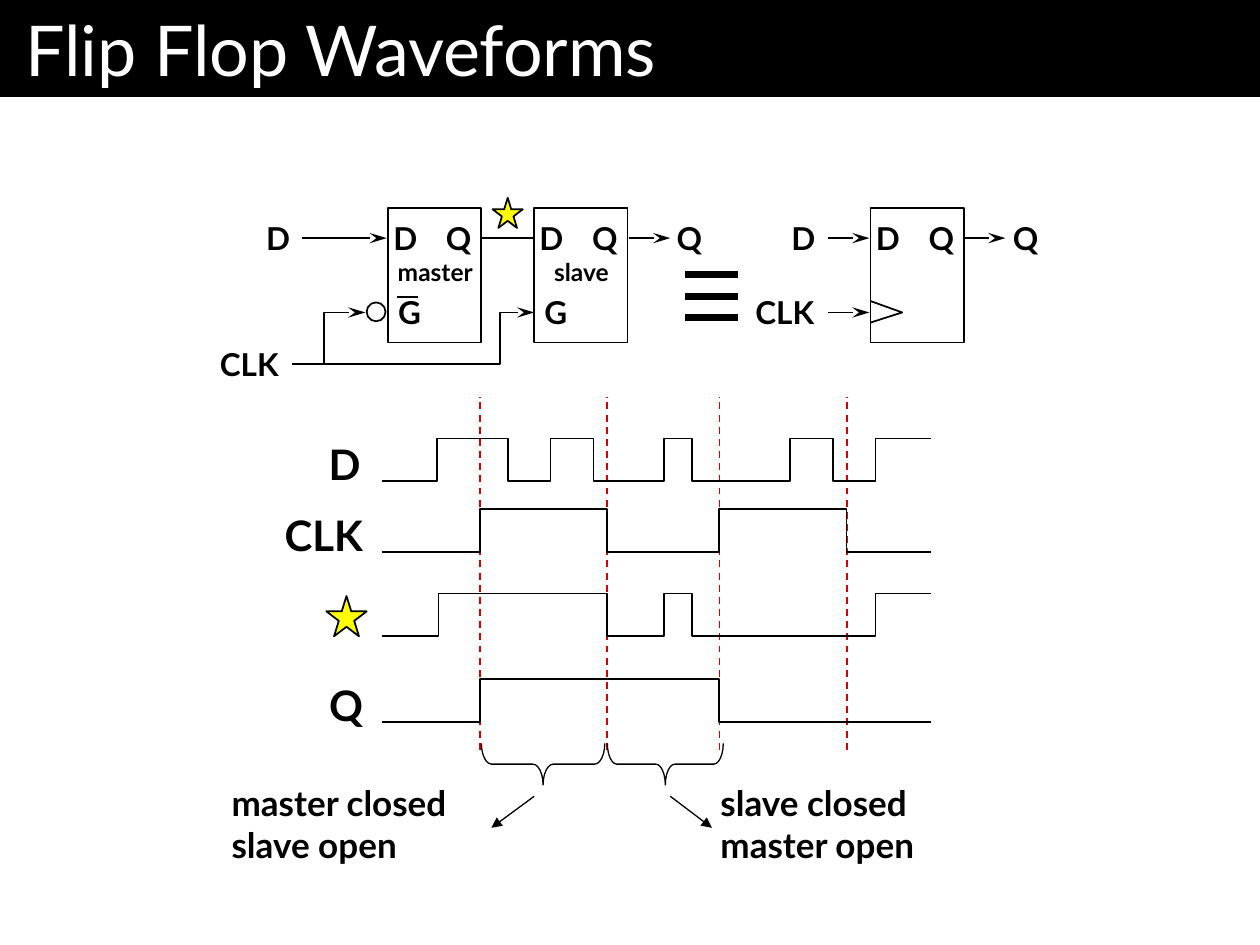
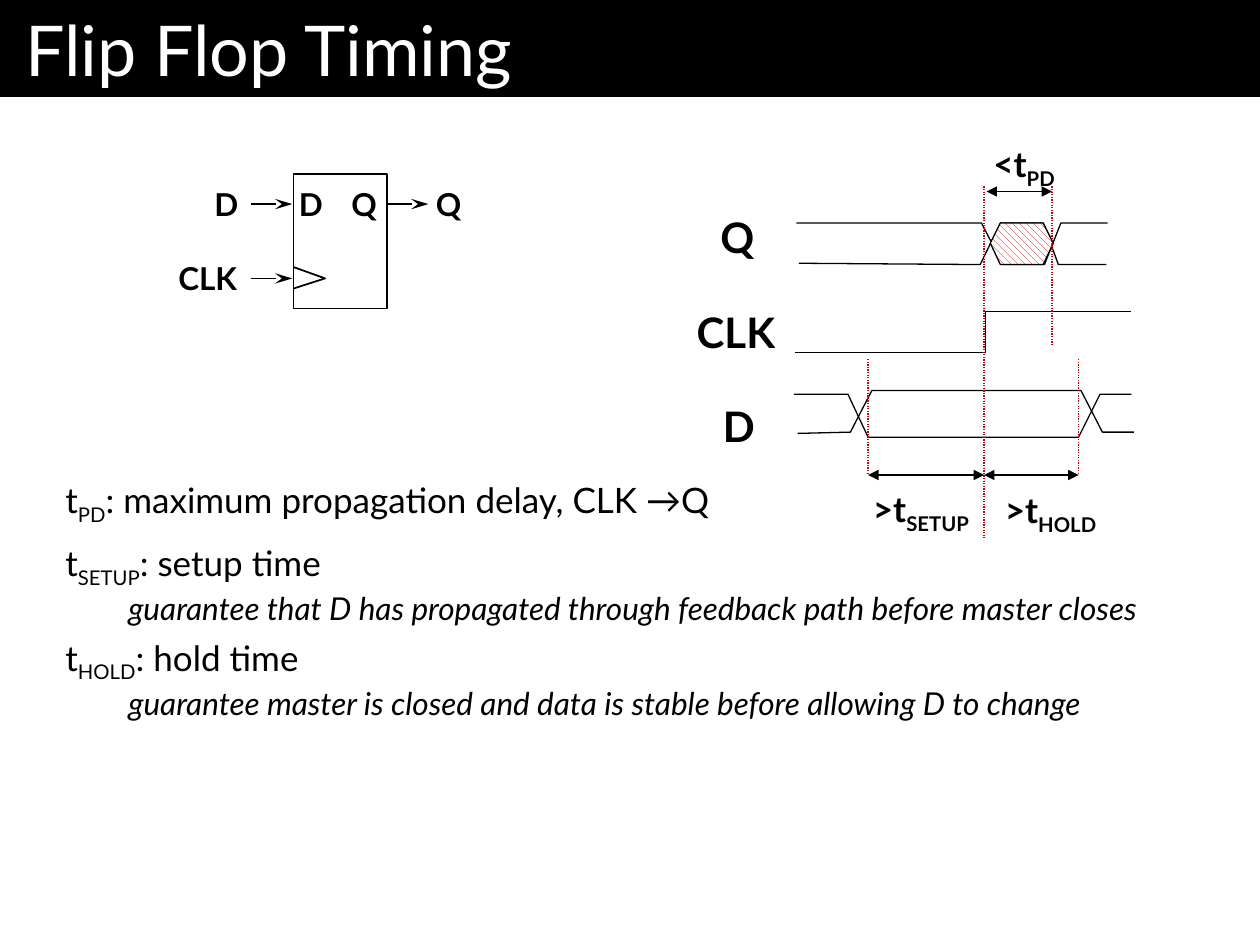
"""Build two slides on flip flop waveforms and timing."""
import pptx
import pptx.dml.color
import pptx.enum.dml
import pptx.enum.shapes
import pptx.enum.text
import pptx.oxml.ns
import pptx.oxml.xmlchemy
import pptx.util
from lxml import etree
from pptx.util import Inches

FONT = "Lato"
BLACK, WHITE, RED, YELLOW = "000000", "FFFFFF", "CC0000", "FFFF00"
SHAPE = pptx.enum.shapes.MSO_SHAPE
DASH = pptx.enum.dml.MSO_LINE
ALIGN = pptx.enum.text.PP_ALIGN
qn = pptx.oxml.ns.qn


def colour(value):
    """Turn a hex string into a colour."""
    return pptx.dml.color.RGBColor.from_string(value)


class Sheet:
    """Hold the style, the deck and the current page."""

    def __init__(self):
        """Start a deck of 10 by 7.5 inches."""
        self.deck = pptx.Presentation()
        self.deck.slide_width = Inches(10)
        self.deck.slide_height = Inches(7.5)
        self.page = None

    def new_page(self, title):
        """Add a page with the black title band."""
        self.page = self.deck.slides.add_slide(self.deck.slide_layouts[6])
        band = self.shape(SHAPE.RECTANGLE, 0, 0, 10, 0.77, BLACK, None)
        frame = band.text_frame
        frame.text = title
        frame.margin_left = frame.margin_right = Inches(0.2)
        frame.vertical_anchor = pptx.enum.text.MSO_ANCHOR.MIDDLE
        frame.paragraphs[0].alignment = ALIGN.LEFT
        self.style(frame.paragraphs[0].runs[0], 40, WHITE)

    def style(self, span, size, ink=BLACK, bold=False, italic=False):
        """Format one run."""
        span.font.name = FONT
        span.font.size = pptx.util.Pt(size)
        span.font.color.rgb = colour(ink)
        span.font.bold = bold
        span.font.italic = italic

    def stroke(self, item, ink=BLACK, width=1, dash=None, head=None, tail=None):
        """Set the line of a shape or connector, with arrowheads."""
        item.line.color.rgb = colour(ink)
        item.line.width = pptx.util.Pt(width)
        if dash:
            item.line.dash_style = dash
        outline = item._element.spPr.find(qn("a:ln"))
        for end, kind in (("a:headEnd", head), ("a:tailEnd", tail)):
            if kind:
                length = "lg" if kind == "stealth" else "med"
                etree.SubElement(outline, qn(end), type=kind, w="med", len=length)

    def shape(self, kind, left, top, width, height, fill=None, ink=BLACK, weight=1):
        """Add a preset shape."""
        item = self.page.shapes.add_shape(
            kind, Inches(left), Inches(top), Inches(width), Inches(height))
        item.shadow.inherit = False
        if fill:
            item.fill.solid()
            item.fill.fore_color.rgb = colour(fill)
        else:
            item.fill.background()
        if ink:
            self.stroke(item, ink, weight)
        else:
            item.line.fill.background()
        return item

    def line(self, x1, y1, x2, y2, **look):
        """Add a straight line or arrow."""
        item = self.page.shapes.add_connector(
            pptx.enum.shapes.MSO_CONNECTOR.STRAIGHT,
            Inches(x1), Inches(y1), Inches(x2), Inches(y2))
        self.stroke(item, **look)
        etree.SubElement(item._element.spPr, qn("a:effectLst"))

    def outline(self, points, close=False, **look):
        """Add a freeform through the points, unfilled."""
        points = [(Inches(x), Inches(y)) for x, y in points]
        builder = self.page.shapes.build_freeform(*points[0], scale=1)
        builder.add_line_segments(points[1:], close=close)
        item = builder.convert_to_shape()
        item.shadow.inherit = False
        item.fill.background()
        self.stroke(item, **look)
        return item

    def wave(self, start, end, low, edges, rise=0.34, **look):
        """Add a square wave that starts low and toggles at each edge."""
        levels = (low, low - rise)
        points = [(start, low)]
        for count, x in enumerate(edges):
            points += [(x, levels[count % 2]), (x, levels[(count + 1) % 2])]
        self.outline(points + [(end, levels[len(edges) % 2])], **look)

    def text(self, left, top, width, height, lines, size, bold=False,
             align=ALIGN.LEFT, spacing=None, wrap=False):
        """Add a text box; pieces between bars are subscripts.

        Lines after the first are italic and indented when the box wraps.
        """
        box = self.page.shapes.add_textbox(
            Inches(left), Inches(top), Inches(width), Inches(height))
        frame = box.text_frame
        frame.word_wrap = wrap
        frame.auto_size = pptx.enum.text.MSO_AUTO_SIZE.SHAPE_TO_FIT_TEXT
        for row, line in enumerate(lines):
            para = frame.add_paragraph() if row else frame.paragraphs[0]
            para.alignment = align
            if spacing:
                para.line_spacing = spacing
            detail = wrap and row > 0
            if detail:
                para._p.get_or_add_pPr().set("marL", str(Inches(0.5)))
            for count, piece in enumerate(line.split("|")):
                span = para.add_run()
                span.text = piece
                self.style(span, size - 2 if detail else size, bold=bold, italic=detail)
                if count % 2:
                    span._r.get_or_add_rPr().set("baseline", "-25000")

    def pin(self, left, top, name, size=18):
        """Add a short bold signal name."""
        width = {"CLK": 0.69, "Q": 0.4}.get(name, 0.39) + (0.07 if size == 24 else 0)
        if name == "CLK" and size == 24:
            width = 0.86
        height = 0.47 if size == 24 else 0.38
        self.text(left, top, width, height, [name], size, True, ALIGN.RIGHT, 0.9)

    def cell(self, left, top, gate=None):
        """Add a storage box with its D, Q and optional gate pins."""
        self.shape(SHAPE.RECTANGLE, left, top, 0.74, 1.07, WHITE)
        self.pin(left - 0.06, top + 0.07, "D")
        self.pin(left + 0.36, top + 0.07, "Q")
        if gate:
            self.pin(left - 0.03, top + 0.66, gate)

    def flip_flop(self, left, top):
        """Add the clocked symbol with its arrows and outer names."""
        self.cell(left, top)
        for x, y in ((0.74, 0.24), (-0.34, 0.24), (-0.34, 0.83)):
            self.line(left + x, top + y, left + x + 0.33, top + y, tail="stealth")
        self.outline([(left, top + 0.74), (left + 0.25, top + 0.83), (left, top + 0.91)])
        self.pin(left - 0.73, top + 0.07, "D")
        self.pin(left - 1.04, top + 0.66, "CLK")
        self.pin(left + 1.03, top + 0.07, "Q")

    def star(self, left, top, size):
        """Add the yellow star that marks the inner signal."""
        self.shape(SHAPE.STAR_5_POINT, left, top, size, size, YELLOW)

    def brace(self, left, right, top, bend):
        """Add a brace that opens upward between two x positions."""
        depth, span = 0.33, right - left
        item = self.shape(SHAPE.RIGHT_BRACE, (left + right - depth) / 2,
                          top + (depth - span) / 2, depth, span, weight=0.75)
        item.rotation = 90
        item.adjustments[0] = bend


def waveforms(sheet):
    """Draw the master and slave circuit with its waveforms."""
    sheet.new_page("Flip Flop Waveforms")
    top, wire = 1.65, 1.89
    sheet.cell(4.24, top, "G")
    sheet.cell(3.08, top, "G")
    sheet.shape(SHAPE.OVAL, 2.91, 2.4, 0.15, 0.15, WHITE)
    sheet.line(3.15, 2.36, 3.32, 2.36)
    sheet.outline([(4.24, 2.48), (3.97, 2.48), (3.97, 2.89), (2.32, 2.89)], head="stealth")
    sheet.outline([(2.9, 2.48), (2.57, 2.48), (2.57, 2.89)], head="stealth")
    sheet.line(2.4, wire, 3.07, wire, tail="stealth")
    sheet.line(4.99, wire, 5.32, wire, tail="stealth")
    sheet.line(3.82, wire, 4.24, wire)
    sheet.pin(2.01, 1.72, "D")
    sheet.pin(1.62, 2.72, "CLK")
    sheet.pin(5.27, 1.72, "Q")
    sheet.flip_flop(6.91, top)
    for row in range(3):
        y = 2.18 + 0.17 * row
        sheet.line(5.44, y, 5.86, y, width=4)
    sheet.star(3.91, 1.57, 0.24)
    sheet.text(3.01, 2.02, 0.89, 0.32, ["master"], 14, True, ALIGN.CENTER, 0.9)
    sheet.text(4.24, 2.02, 0.75, 0.32, ["slave"], 14, True, ALIGN.CENTER, 0.9)

    clock = [3.81, 4.82, 5.71, 6.72]
    for x in clock:
        sheet.line(x, 5.95, x, 3.15, ink=RED, dash=DASH.DASH)
    data = [3.47, 4.03, 4.37, 4.71, 5.27, 5.49, 6.27, 6.61, 6.95]
    inner = [3.48, 4.82, 5.27, 5.49, 6.95]
    for low, edges in ((3.82, data), (4.38, clock), (5.05, inner), (5.73, clock[::2])):
        sheet.wave(3.03, 7.39, low, edges)
    sheet.pin(2.5, 3.48, "D", 24)
    sheet.pin(2.12, 4.04, "CLK", 24)
    sheet.star(2.59, 4.73, 0.32)
    sheet.pin(2.51, 5.39, "Q", 24)

    sheet.text(1.74, 6.15, 2.16, 0.77, ["master closed", "slave open"], 20, True)
    sheet.text(5.62, 6.15, 1.96, 0.77, ["slave closed", "master open"], 20, True)
    sheet.brace(3.82, 4.8, 5.9, 0.246)
    sheet.brace(4.82, 5.74, 5.9, 0.229)
    for start, end in ((4.24, 3.9), (5.32, 5.65)):
        sheet.line(start, 6.32, end, 6.57, width=0.75, tail="triangle")


def timing(sheet):
    """Draw the timing diagram with the definitions."""
    sheet.new_page("Flip Flop Timing")
    thin = {"width": 0.75}
    dotted = {"ink": RED, "width": 0.75, "dash": DASH.ROUND_DOT}
    span = {"width": 0.75, "head": "triangle", "tail": "triangle"}
    for name, left, top, width in (("Q", 5.62, 1.63, 0.46), ("CLK", 5.39, 2.38, 0.86),
                                   ("D", 5.63, 3.13, 0.46)):
        sheet.text(left, top, width, 0.51, [name], 24, True, ALIGN.RIGHT)
    sheet.wave(6.31, 8.98, 2.8, [7.82], 0.33, **thin)
    for points in (
        [(6.3, 3.13), (6.73, 3.13), (6.89, 3.47), (8.56, 3.47), (8.73, 3.13), (8.98, 3.13)],
        [(6.33, 3.44), (6.75, 3.43), (6.92, 3.1), (8.58, 3.1), (8.75, 3.43), (9, 3.43)],
        [(6.34, 2.09), (7.78, 2.1), (7.94, 1.77), (8.28, 1.77), (8.4, 2.1), (8.78, 2.1)],
        [(6.32, 1.77), (7.79, 1.77), (7.96, 2.1), (8.29, 2.1), (8.42, 1.77), (8.79, 1.77)],
    ):
        sheet.outline(points, **thin)
    unknown = sheet.outline([(7.86, 1.93), (7.94, 1.77), (8.28, 1.77), (8.36, 1.93),
                             (8.28, 2.1), (7.94, 2.1)], close=True, **thin)
    unknown.fill.patterned()
    unknown.fill.pattern = pptx.enum.dml.MSO_PATTERN.WIDE_DOWNWARD_DIAGONAL
    unknown.fill.fore_color.rgb = colour(RED)
    unknown.fill.back_color.rgb = colour(WHITE)
    sheet.flip_flop(2.33, 1.38)

    for x, start, end in ((7.81, 1.48, 4.27), (8.35, 1.48, 2.73),
                          (6.89, 2.85, 3.77), (8.56, 2.85, 3.77)):
        sheet.line(x, start, x, end, **dotted)
    for start, end, y in ((7.83, 8.35, 1.52), (6.89, 7.81, 3.77), (7.81, 8.56, 3.77)):
        sheet.line(start, y, end, y, **span)
    for label, left, top, width in (("<t|PD", 7.66, 1.08, 0.81),
                                    (">t|SETUP", 6.62, 3.82, 1.17),
                                    (">t|HOLD", 7.72, 3.83, 1.08)):
        sheet.text(left, top, width, 0.44, [label], 20, True, ALIGN.RIGHT)

    for top, width, height, lines in (
        (3.75, 6.08, 0.43, ["t|PD|: maximum propagation delay, CLK →Q"]),
        (4.25, 9.67, 0.74, [
            "t|SETUP|: setup time",
            "guarantee that D has propagated through feedback path before master closes"]),
        (5, 8.92, 0.74, [
            "t|HOLD|: hold time",
            "guarantee master is closed and data is stable before allowing D to change"]),
    ):
        sheet.text(0.42, top, width, height, lines, 20, wrap=True)


sheet = Sheet()
waveforms(sheet)
timing(sheet)
sheet.deck.save("out.pptx")
